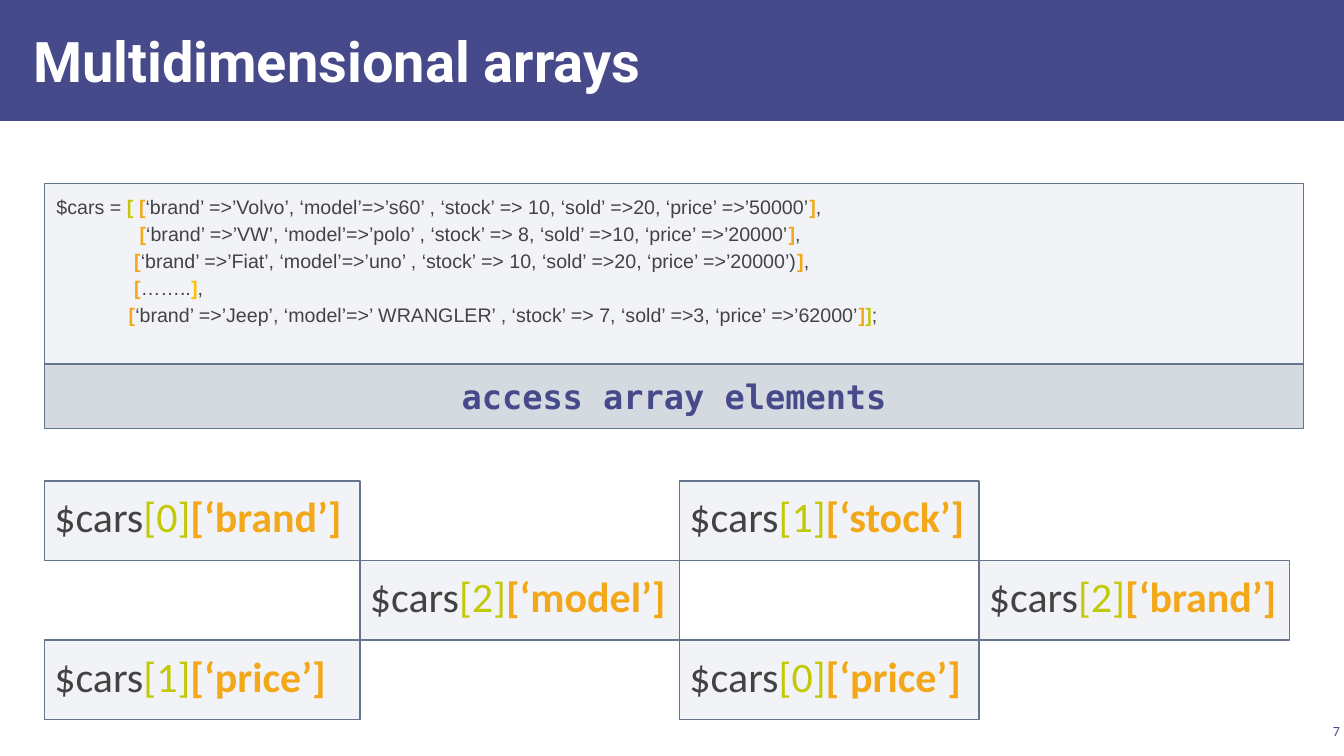
import pptx
import pptx.dml.color
import pptx.enum.shapes
import pptx.enum.text
import pptx.oxml
import pptx.oxml.ns
import pptx.util
from pptx.util import Inches

INDIGO, WHITE = "474A8A", "FFFFFF"
DARK, LIME, ORANGE, AMBER = "434343", "C2C906", "F2A818", "FFC000"
PANEL, BORDER = "ACB4C3", "67748E"
LEFT, WIDTH = 0.44, 12.49

CODE_ROWS = [
    [("$cars = ", DARK), ("[ ", LIME), ("[", ORANGE),
     ("‘brand’ =>’Volvo’, ‘model’=>’s60’ , ‘stock’ => 10, ‘sold’ =>20, ‘price’ =>’50000’", DARK),
     ("]", ORANGE), (",", DARK)],
    [("      ", DARK), ("[", ORANGE),
     ("‘brand’ =>’VW’, ‘model’=>’polo’ , ‘stock’ => 8, ‘sold’ =>10, ‘price’ =>’20000’", DARK),
     ("]", ORANGE), (",", DARK)],
    [("     ", DARK), ("[", ORANGE),
     ("‘brand’ =>’Fiat’, ‘model’=>’uno’ , ‘stock’ => 10, ‘sold’ =>20, ‘price’ =>’20000’)", DARK),
     ("]", ORANGE), (",", DARK)],
    [("     ", DARK), ("[", ORANGE), ("……..", DARK), ("]", AMBER), (",", DARK)],
    [("    ", DARK), ("[", ORANGE),
     ("‘brand’ =>’Jeep’, ‘model’=>’ WRANGLER’ , ‘stock’ => 7, ‘sold’ =>3, ‘price’ =>’62000’", DARK),
     ("]", ORANGE), ("]", LIME), (";", DARK)],
]

COLUMN_EDGES = [0.44, 3.57, 6.74, 9.71, 12.79]
ACCESSES = [  # row, column, index, key
    (0, 0, 0, "brand"), (0, 2, 1, "stock"),
    (1, 1, 2, "model"), (1, 3, 2, "brand"),
    (2, 0, 1, "price"), (2, 2, 0, "price"),
]


def rgb(value):
    return pptx.dml.color.RGBColor.from_string(value)


def add_rectangle(slide, box, fill, opacity=100, line=None):
    shape = slide.shapes.add_shape(
        pptx.enum.shapes.MSO_SHAPE.RECTANGLE, *map(Inches, box))
    shape.shadow.inherit = False
    shape.fill.solid()
    shape.fill.fore_color.rgb = rgb(fill)
    if opacity < 100:
        color = shape.fill._xPr.find(".//" + pptx.oxml.ns.qn("a:srgbClr"))
        alpha = pptx.oxml.parse_xml(
            f'<a:alpha {pptx.oxml.ns.nsdecls("a")} val="{opacity * 1000}"/>')
        color.append(alpha)
    if line:
        shape.line.color.rgb = rgb(line)
        shape.line.width = pptx.util.Pt(1)
    else:
        shape.line.fill.background()
    return shape


def set_frame(shape, horizontal, vertical, anchor="TOP"):
    """Set the margins, wrapping and anchor of a shape's text."""
    frame = shape.text_frame
    frame.margin_left = frame.margin_right = Inches(horizontal)
    frame.margin_top = frame.margin_bottom = Inches(vertical)
    frame.word_wrap = True
    frame.vertical_anchor = getattr(pptx.enum.text.MSO_ANCHOR, anchor)
    return frame


def add_runs(paragraph, runs, size, font, align="LEFT"):
    """Add (text, colour, bold) runs to a paragraph."""
    paragraph.alignment = getattr(pptx.enum.text.PP_ALIGN, align)
    for text, color, bold in runs:
        run = paragraph.add_run()
        run.text = text
        run.font.name = font
        run.font.size = pptx.util.Pt(size)
        run.font.bold = bold
        run.font.color.rgb = rgb(color)


def add_header(slide, box, title):
    left, top, width, height = box
    add_rectangle(slide, box, INDIGO)
    text_box = slide.shapes.add_textbox(
        Inches(left + 0.21), Inches(top + 0.11), Inches(10.4), Inches(0.97))
    frame = set_frame(text_box, 0.12, 0.04, "MIDDLE")
    add_runs(frame.paragraphs[0], [(title, WHITE, True)], 40, "Roboto")


def add_code_panel(slide, box):
    frame = set_frame(add_rectangle(slide, box, PANEL, 15, BORDER), 0.12, 0.08)
    for number, row in enumerate(CODE_ROWS):
        paragraph = frame.add_paragraph() if number else frame.paragraphs[0]
        paragraph.line_spacing = 1.15
        if number:
            properties = paragraph._p.get_or_add_pPr()
            properties.set("marL", "0")
            properties.set("indent", str(Inches(0.5)))
        runs = [(text, color, color != DARK) for text, color in row]
        add_runs(paragraph, runs, 14, "Arial")


def add_subheading(slide, box, text):
    frame = set_frame(add_rectangle(slide, box, PANEL, 50, BORDER), 0.12, 0.12)
    add_runs(frame.paragraphs[0], [(text, INDIGO, True)], 24,
             "DejaVu Sans Mono", "CENTER")


def add_access_grid(slide, top, row_height):
    for row, column, index, key in ACCESSES:
        left, right = COLUMN_EDGES[column:column + 2]
        box = (left, top + row * row_height, right - left, row_height)
        frame = set_frame(add_rectangle(slide, box, PANEL, 15, BORDER), 0.1, 0.1)
        runs = [("$cars", DARK, False), (f"[{index}]", LIME, False),
                (f"[‘{key}’]", ORANGE, True)]
        add_runs(frame.paragraphs[0], runs, 30, "Calibri")


def add_slide_number(slide, box, number):
    text_box = slide.shapes.add_textbox(*map(Inches, box))
    frame = set_frame(text_box, 0.04, 0.04, "MIDDLE")
    add_runs(frame.paragraphs[0], [(number, INDIGO, False)], 10, "Calibri", "RIGHT")


def main():
    presentation = pptx.Presentation()
    presentation.slide_width = Inches(13.33)
    presentation.slide_height = Inches(7.5)
    slide = presentation.slides.add_slide(presentation.slide_layouts[6])
    add_header(slide, (0, 0, 13.33, 1.2), "Multidimensional arrays")
    add_code_panel(slide, (LEFT, 1.82, WIDTH, 1.79))
    add_subheading(slide, (LEFT, 3.61, WIDTH, 0.64), "access array elements")
    add_access_grid(slide, 4.77, 0.79)
    add_slide_number(slide, (12.86, 7.14, 0.47, 0.22), "7")
    presentation.save("out.pptx")


if __name__ == "__main__":
    main()
